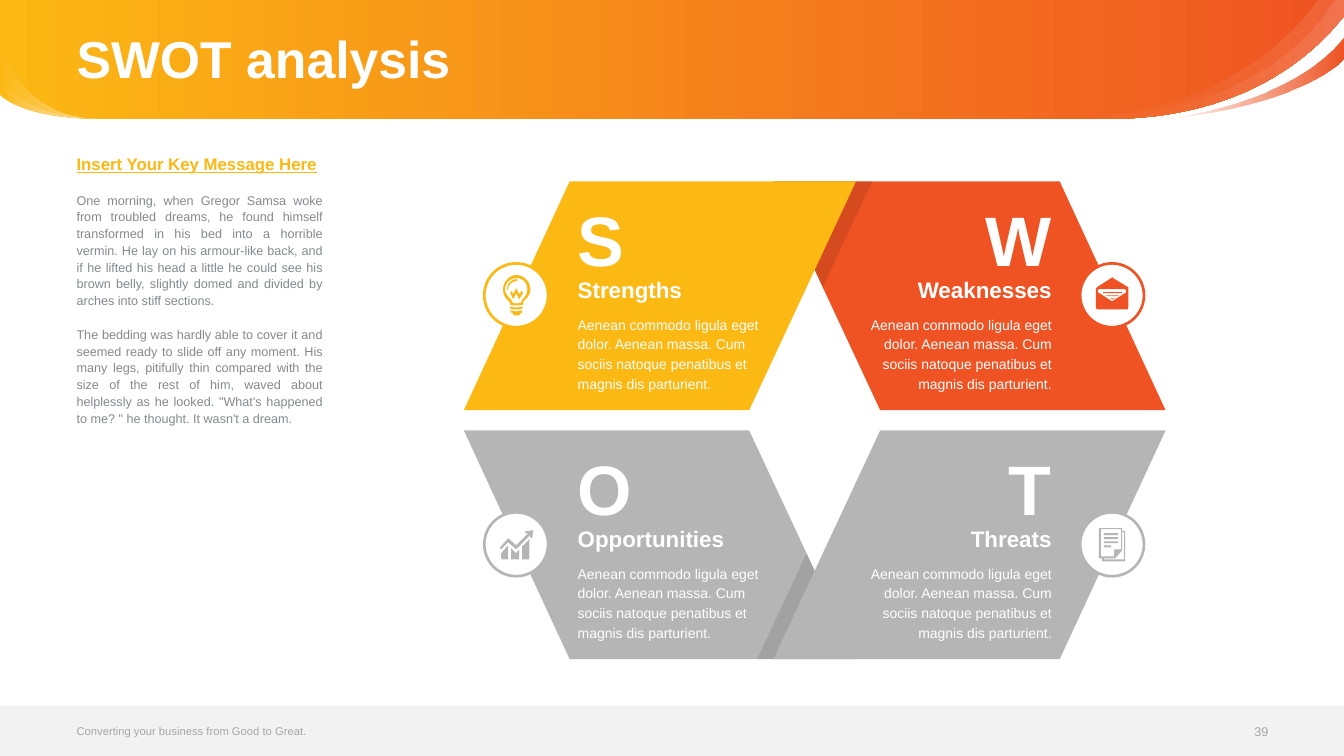
"""Build a SWOT analysis slide with four panels, icons and a key message."""
from lxml import etree
from pptx import Presentation
from pptx.dml.color import RGBColor
from pptx.enum.shapes import MSO_SHAPE
from pptx.enum.text import MSO_ANCHOR, MSO_AUTO_SIZE, PP_ALIGN
from pptx.oxml.ns import qn
from pptx.util import Inches, Pt

RECT, OVAL, RING = MSO_SHAPE.RECTANGLE, MSO_SHAPE.OVAL, MSO_SHAPE.DONUT
LEFT, RIGHT, FULL = PP_ALIGN.LEFT, PP_ALIGN.RIGHT, PP_ALIGN.JUSTIFY
TOP, MID = MSO_ANCHOR.TOP, MSO_ANCHOR.MIDDLE
FIXED = MSO_AUTO_SIZE.NONE
GOLD, RED, GREY, WHITE, BLACK = "FCB813", "EF5323", "B5B5B5", "FFFFFF", "000000"
PALE, SLATE, ASH = "F2F2F2", "85898F", "A6A6A6"
WIDE, HIGH = 13.33, 7.5
AXIS, FLIP = 16.16, 8.34
STEPS = 16

deck = Presentation()
deck.slide_width, deck.slide_height = Inches(WIDE), Inches(HIGH)
slide = deck.slides.add_slide(deck.slide_layouts[5])
shapes = slide.shapes


def tint(fill, *tones, marks=(0, 100)):
    """Fill with one colour, or with a left-to-right gradient of two."""
    if len(tones) == 1:
        fill.solid()
        fill.fore_color.rgb = RGBColor.from_string(tones[0])
        return
    fill.gradient()
    fill.gradient_angle = 0
    for stop, tone, mark in zip(fill.gradient_stops, tones, marks):
        stop.color.rgb = RGBColor.from_string(tone)
        stop.position = mark / 100


def trace(loops, *tones, marks=(0, 100), alphas=()):
    """Draw closed loops; a step of two numbers is a line, of six a curve."""
    pen = None
    for start, *steps in loops:
        spots = [start]
        for step in steps:
            if len(step) == 2:
                spots.append(step)
                continue
            ends = [spots[-1], step[:2], step[2:4], step[4:]]
            for i in range(1, STEPS + 1):
                t = i / STEPS
                parts = ((1 - t) ** 3, 3 * t * (1 - t) ** 2, 3 * t * t * (1 - t), t ** 3)
                spots.append(tuple(sum(w * p[k] for w, p in zip(parts, ends)) for k in (0, 1)))
        spots = [(Inches(x), Inches(y)) for x, y in spots]
        if pen is None:
            pen = shapes.build_freeform(*spots[0], scale=1.0)
        else:
            pen.move_to(*spots[0])
        pen.add_line_segments(spots[1:], close=True)
    shape = pen.convert_to_shape()
    tint(shape.fill, *tones, marks=marks)
    for tone, alpha in zip(shape.element.spPr.iter(qn("a:srgbClr")), alphas):
        etree.SubElement(tone, qn("a:alpha")).set("val", str(alpha * 1000))


trace([[(WIDE, 0), (WIDE, 0.16), (12.66, 1, 11.7, 1.17, 11.05, 1.18), (0.97, 1.18),
        (0.18, 1.17, 0, 0.94, 0, 0.94), (0, 0)]], GOLD, RED)
trace([[(WIDE, 0), (WIDE, 0.16), (12.24, 1.53, 10.39, 1.13, 10.34, 1.12),
        (10.4, 1.12, 12.32, 1.39, 13.24, 0)]], WHITE, WHITE, marks=(15, 100), alphas=(0, 10))
trace([[(11.57, 1.18), (11.57, 1.18, 12.82, 1.03, WIDE, 0.37), (WIDE, 0.59),
        (WIDE, 0.59, 12.94, 1.04, 11.57, 1.18)]], RED, RED, alphas=(0, 100))
trace([[(WIDE, 0), (WIDE, 0.16), (12.23, 1.55, 10.34, 1.12, 10.34, 1.12),
        (11.89, 1.22, 12.7, 0.5, 13.07, 0)]], WHITE, WHITE, marks=(15, 100), alphas=(0, 10))
for rise, bend in ((0.76, 1.17), (0.45, 1.16)):
    trace([[(0.98, 1.18), (0.18, 1.17, 0, 0.94, 0, 0.94), (0, rise),
            (0, rise, 0.18, bend, 0.98, 1.18)]], WHITE, WHITE, alphas=(0, 50))
foot = shapes.add_shape(RECT, 0, Inches(7), Inches(WIDE), Inches(0.5))
tint(foot.fill, PALE)

panel = [(5.65, 1.8), (8.49, 1.8), (7.43, 4.07), (4.6, 4.07)]
shade = [(8.65, 1.8), (8.16, 2.85), (8.08, 2.68), (8.49, 1.8)]
trace([[(AXIS - x, y) for x, y in panel]], RED)
trace([[(x, FLIP - y) for x, y in panel]], GREY)
trace([[(AXIS - x, FLIP - y) for x, y in panel]], GREY)
trace([shade], BLACK, alphas=(10,))
trace([[(AXIS - x, FLIP - y) for x, y in shade]], BLACK, alphas=(10,))
trace([panel], GOLD)

bulb = [
    [(5.12, 2.79), (5.13, 2.79, 5.13, 2.79, 5.13, 2.78), (5.13, 2.78, 5.13, 2.77, 5.12, 2.77),
     (5.07, 2.77, 5.03, 2.82, 5.03, 2.87), (5.04, 2.88), (5.04, 2.87),
     (5.04, 2.83, 5.08, 2.79, 5.12, 2.79)],
    [(5.06, 3.04), (5.06, 3.06), (5.08, 3.07, 5.1, 3.07, 5.12, 3.07),
     (5.14, 3.07, 5.16, 3.07, 5.18, 3.06), (5.19, 3.04), (5.17, 3.05, 5.15, 3.05, 5.12, 3.05),
     (5.1, 3.05, 5.08, 3.05, 5.06, 3.04)],
    [(5.06, 3.08), (5.07, 3.1), (5.09, 3.11), (5.09, 3.12), (5.09, 3.12, 5.1, 3.13, 5.12, 3.13),
     (5.15, 3.13, 5.16, 3.12, 5.16, 3.12), (5.16, 3.11), (5.18, 3.1), (5.18, 3.08),
     (5.16, 3.08, 5.14, 3.09, 5.12, 3.09), (5.1, 3.09, 5.09, 3.08, 5.06, 3.08)],
    [(5.15, 2.92), (5.12, 2.86), (5.09, 2.92), (5.08, 2.89), (5.06, 2.9), (5.09, 2.97),
     (5.12, 2.91), (5.15, 2.97), (5.19, 2.9), (5.17, 2.89)],
    [(5.12, 2.73), (5.05, 2.73, 4.99, 2.8, 4.99, 2.87), (4.99, 2.92, 5.01, 2.96, 5.05, 2.99),
     (5.06, 3.02), (5.08, 3.03, 5.1, 3.03, 5.12, 3.03), (5.15, 3.03, 5.17, 3.03, 5.19, 3.02),
     (5.19, 2.99), (5.23, 2.96, 5.26, 2.92, 5.26, 2.87), (5.26, 2.8, 5.2, 2.73, 5.12, 2.73)],
    [(5.18, 2.97), (5.17, 3), (5.17, 3, 5.16, 3.01, 5.12, 3.01), (5.09, 3.01, 5.08, 3, 5.08, 3),
     (5.07, 2.97), (5.04, 2.95, 5.01, 2.91, 5.01, 2.87), (5.01, 2.81, 5.06, 2.76, 5.12, 2.76),
     (5.19, 2.76, 5.23, 2.81, 5.23, 2.87), (5.23, 2.91, 5.21, 2.95, 5.18, 2.97)]]
mail = [
    [(11.19, 2.85), (11.04, 2.76), (11.04, 2.75, 11.03, 2.75, 11.02, 2.76), (10.88, 2.85),
     (10.88, 2.86, 10.87, 2.86, 10.87, 2.87), (10.87, 3.05),
     (10.87, 3.06, 10.88, 3.07, 10.89, 3.07), (11.18, 3.07),
     (11.19, 3.07, 11.19, 3.06, 11.19, 3.05), (11.19, 2.87)],
    [(11.17, 2.9), (11.03, 2.99), (10.89, 2.9), (10.89, 2.88),
     (10.89, 2.87, 10.9, 2.87, 10.9, 2.87), (11.16, 2.87), (11.17, 2.88)],
    [(11.03, 2.97), (11.04, 2.97), (11.06, 2.96), (11.01, 2.96)],
    [(10.99, 2.94), (11.08, 2.94), (11.1, 2.93), (10.96, 2.93)],
    [(10.94, 2.91), (11.13, 2.91), (11.13, 2.9), (10.94, 2.9)]]
chart = [
    [(5.07, 5.44), (5.07, 5.55), (5.15, 5.55), (5.15, 5.45), (5.12, 5.49)],
    [(4.97, 5.53), (4.97, 5.54, 4.98, 5.55, 4.98, 5.55), (5.04, 5.55), (5.04, 5.41), (4.97, 5.49)],
    [(5.22, 5.27), (5.22, 5.27, 5.21, 5.27, 5.21, 5.28), (5.21, 5.29, 5.22, 5.3, 5.22, 5.29),
     (5.24, 5.29), (5.12, 5.41), (5.04, 5.34), (4.96, 5.43), (4.96, 5.44),
     (4.97, 5.45, 4.97, 5.45, 4.98, 5.44), (5.04, 5.38), (5.12, 5.45), (5.26, 5.31),
     (5.26, 5.33), (5.27, 5.34), (5.28, 5.34, 5.28, 5.33, 5.28, 5.33), (5.29, 5.26)],
    [(5.18, 5.42), (5.18, 5.55), (5.24, 5.55), (5.25, 5.55, 5.25, 5.54, 5.25, 5.53),
     (5.25, 5.35), (5.19, 5.41)]]
page = [[(10.95, y), (11.09, y), (11.09, y + 0.02), (10.95, y + 0.02)] for y in (5.29, 5.33, 5.37)]
page += [
    [(10.95, 5.43), (11.02, 5.43), (11.02, 5.41), (10.95, 5.41)],
    [(11.13, 5.27), (11.13, 5.24), (10.9, 5.24), (10.9, 5.54), (10.93, 5.54), (10.93, 5.57),
     (11.16, 5.57), (11.16, 5.27)],
    [(10.92, 5.52), (10.92, 5.25), (11.12, 5.25), (11.12, 5.45), (11.05, 5.45), (11.05, 5.52)],
    [(11.15, 5.55), (10.95, 5.55), (10.95, 5.54), (11.06, 5.54), (11.13, 5.46), (11.13, 5.28),
     (11.15, 5.28)]]

note = ("Aenean commodo ligula eget dolor. Aenean massa. Cum sociis natoque "
        "penatibus et magnis dis parturient.")
texts = [
    ((0.76, 0.05, 11.81, 1.13), ["SWOT analysis"], 37, WHITE, True, LEFT, MID, 0.9),
    ((0.76, 7.12, 5.23, 0.26), ["Converting your business from Good to Great."],
     8, ASH, False, LEFT, MID, None),
    ((11.95, 7.13, 0.63, 0.26), ["39"], 9, ASH, False, RIGHT, MID, None)]
parts = [("Strengths", GOLD, 5.12, 2.93, 5.73, LEFT, bulb),
         ("Weaknesses", RED, 11.03, 2.93, 8.49, RIGHT, mail),
         ("Opportunities", GREY, 5.12, 5.4, 5.73, LEFT, chart),
         ("Threats", GREY, 11.03, 5.4, 8.49, RIGHT, page)]
for word, hue, x, y, left, side, icon in parts:
    for kind, size, tone in ((OVAL, 0.63, WHITE), (RING, 0.66, hue)):
        disc = shapes.add_shape(kind, Inches(x - size / 2), Inches(y - size / 2),
                                Inches(size), Inches(size))
        tint(disc.fill, tone)
    disc.adjustments[0] = 0.04
    trace(icon, hue)
    texts += [((left, y + 0.18, 1.94, 0.79), [note], 10, WHITE, False, side, TOP, Pt(14)),
              ((left, y - 0.19, 1.94, 0.27), [word], 16, WHITE, True, side, TOP, None),
              ((left, y - 0.98, 1.94, 0.84), [word[0]], 50, WHITE, True, side, TOP, None)]
for shape in shapes:
    shape.line.fill.background()
    shape.shadow.inherit = False

texts.append(((0.76, 1.56, 2.44, 5.19), [
    "Insert Your Key Message Here",
    "One morning, when Gregor Samsa woke from troubled dreams, he found himself transformed in "
    "his bed into a horrible vermin. He lay on his armour-like back, and if he lifted his head a "
    "little he could see his brown belly, slightly domed and divided by arches into stiff sections.",
    "The bedding was hardly able to cover it and seemed ready to slide off any moment. His many "
    "legs, pitifully thin compared with the size of the rest of him, waved about helplessly as he "
    "looked. \"What's happened to me? \" he thought. It wasn't a dream."],
    9, SLATE, False, FULL, TOP, Pt(12)))
for n, (place, lines, size, hue, bold, side, hold, lead) in enumerate(texts):
    place = [Inches(v) for v in place]
    box = shapes.add_textbox(*place) if n else shapes.title
    box.left, box.top, box.width, box.height = place
    shapes.element.append(box.element)
    frame = box.text_frame
    look = dict(margin_left=0, margin_top=0, margin_right=0, margin_bottom=0,
                word_wrap=True, auto_size=FIXED, vertical_anchor=hold)
    for key, value in look.items():
        setattr(frame, key, value)
    for i, line in enumerate(lines):
        para = frame.add_paragraph() if i else frame.paragraphs[0]
        para.alignment, para.line_spacing = side, lead
        para.space_before = Pt(12 if i else 0)
        run = para.add_run()
        run.text = line
        for key, value in dict(name="Arial", size=Pt(size), bold=bold).items():
            setattr(run.font, key, value)
        tint(run.font.fill, hue)
head = frame.paragraphs[0].runs[0].font
for key, value in dict(size=Pt(12), bold=True, underline=True).items():
    setattr(head, key, value)
tint(head.fill, GOLD)

deck.save("out.pptx")
